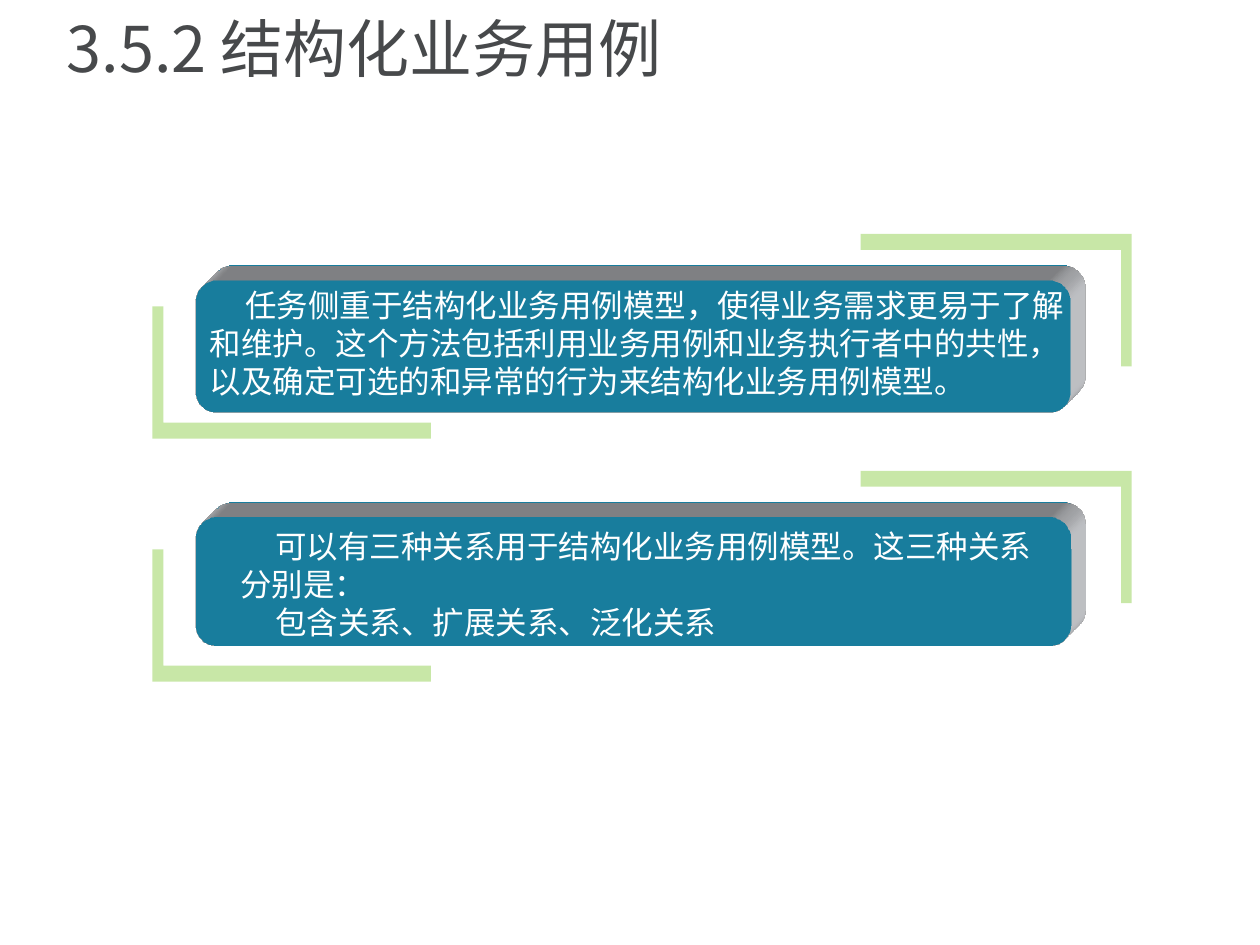
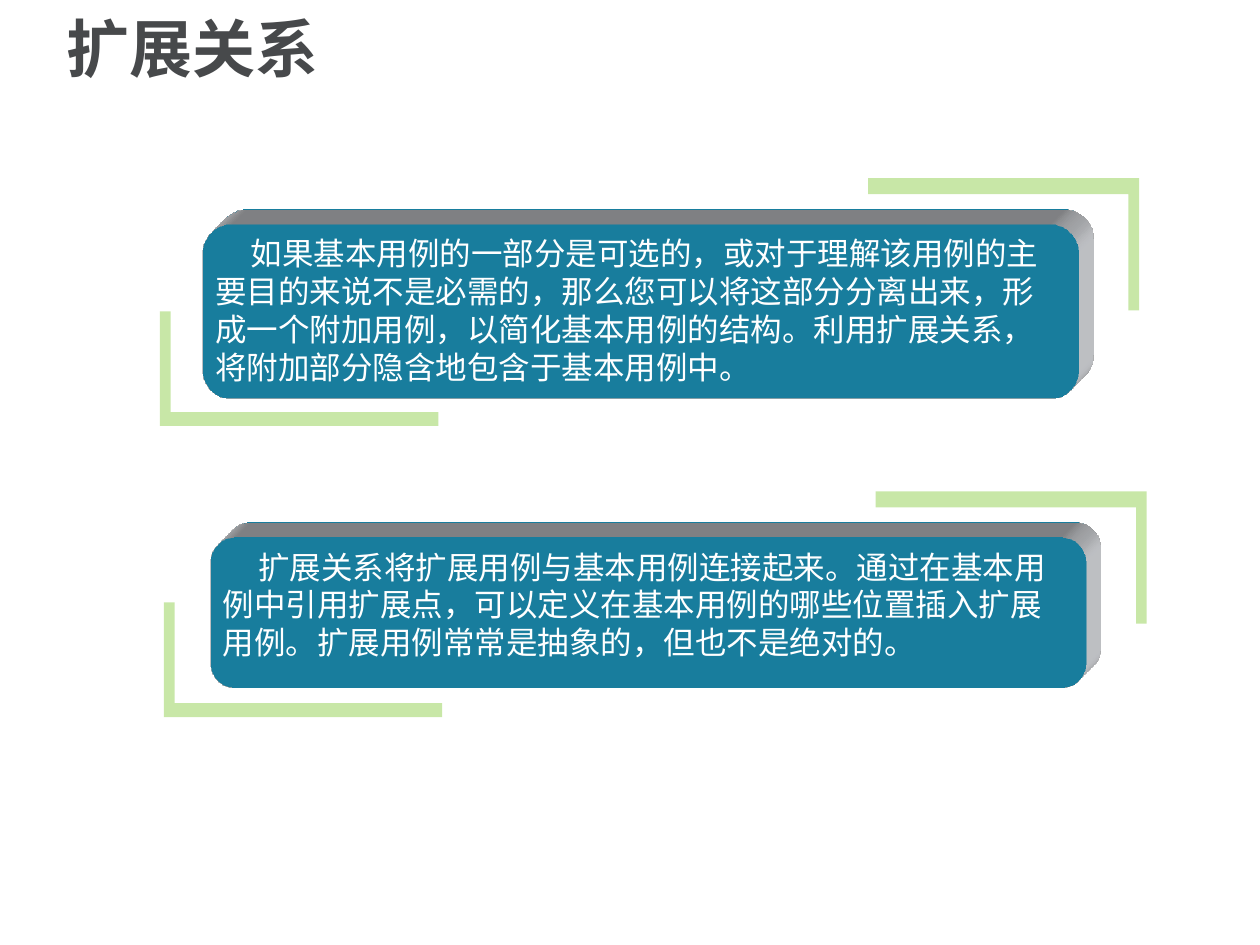
from dataclasses import dataclass

from lxml.etree import SubElement
from pptx import Presentation
from pptx.dml.color import RGBColor as Rgb
from pptx.enum.shapes import MSO_SHAPE as Kind
from pptx.enum.text import MSO_ANCHOR as Anchor
from pptx.oxml.ns import qn
from pptx.slide import Slide
from pptx.text.text import _Paragraph as Para
from pptx.util import Pt


@dataclass(frozen=True)
class Theme:
    ink: Rgb = Rgb.from_string("47494B")
    face: Rgb = Rgb.from_string("22B1DE")
    side: str = "D8DADE"
    green: Rgb = Rgb.from_string("92D050")
    white: Rgb = Rgb.from_string("FFFFFF")
    head: str = "Noto Sans CJK SC"
    body: str = "DejaVu Sans"
    big: float = 36
    small: float = 18
    indent: float = 20.2
    round: float = 0.167
    depth: float = 24


@dataclass(frozen=True)
class Panel:
    x: float
    y: float
    high: float
    foot: float
    arm: float
    lines: tuple[str, ...]
    left: float = 24.5
    dx: float = 0
    dy: float = 2.2
    wide: float = 499


@dataclass(frozen=True)
class Page:
    title: str
    bold: bool
    panels: tuple[Panel, ...]


THEME = Theme()
FACE_W = 500.4
PAGES = (
    Page("3.5.2 结构化业务用例", False, (
        Panel(111.6, 160.1, 75.6, 250.6, 75.6, (
            "任务侧重于结构化业务用例模型，使得业务需求更易于了解和维护。"
            "这个方法包括利用业务用例和业务执行者中的共性，"
            "以及确定可选的和异常的行为来结构化业务用例模型。",
        ), dx=1.2, dy=0, wide=503),
        Panel(111.6, 295.4, 73.4, 389.5, 75.6, (
            "可以有三种关系用于结构化业务用例模型。这三种关系分别是：",
            "包含关系、扩展关系、泛化关系",
        ), dx=18.5, wide=481),
    )),
    Page("扩展关系", True, (
        Panel(115.9, 128.2, 99.4, 243.4, 65.5, (
            "如果基本用例的一部分是可选的，或对于理解该用例的主要目的来说不是必需的，"
            "那么您可以将这部分分离出来，形成一个附加用例，以简化基本用例的结构。"
            "利用扩展关系，将附加部分隐含地包含于基本用例中。",
        )),
        Panel(120.2, 307.2, 85.7, 409.7, 65.5, (
            "扩展关系将扩展用例与基本用例连接起来。"
            "通过在基本用例中引用扩展点，可以定义在基本用例的哪些位置插入扩展用例。"
            "扩展用例常常是抽象的，但也不是绝对的。",
        ), left=26.6),
    )),
)


def style(para: Para, face: str, size: float, color: Rgb, bold: bool = False) -> None:
    """Set one font for Latin and East Asian text."""
    font = para.font
    font.name, font.size, font.bold = face, Pt(size), bold
    font.color.rgb = color
    for run in para.runs:
        run.font.name = face
        SubElement(run.font._element, qn("a:ea"), typeface=face)


def bracket(slide: Slide, x: float, y: float, wide: float, high: float) -> None:
    """Draw a translucent corner whose arms run by signed lengths."""
    thin, thick = wide * 0.039, high * 0.12
    spots = [(Pt(a), Pt(b)) for a, b in (
        (x, y), (x + wide, y), (x + wide, y + thick),
        (x + thin, y + thick), (x + thin, y + high), (x, y + high),
    )]
    pen = slide.shapes.build_freeform(*spots[0], scale=1.0)
    pen.add_line_segments(spots[1:], close=True)
    shape = pen.convert_to_shape()
    shape.shadow.inherit = False
    shape.line.fill.background()
    shape.fill.solid()
    shape.fill.fore_color.rgb = THEME.green
    tint = shape.fill._xPr.find(f".//{qn('a:srgbClr')}")
    SubElement(tint, qn("a:alpha"), val="50000")


def block(slide: Slide, panel: Panel) -> None:
    """Draw a rounded face extruded up and right."""
    front = slide.shapes.add_shape(
        Kind.ROUNDED_RECTANGLE, Pt(panel.x), Pt(panel.y), Pt(FACE_W), Pt(panel.high))
    front.adjustments[0] = THEME.round
    front.shadow.inherit = False
    front.fill.solid()
    front.fill.fore_color.rgb = THEME.face
    front.line.fill.background()
    props = front._element.spPr
    scene = SubElement(props, qn("a:scene3d"))
    SubElement(scene, qn("a:camera"), prst="legacyObliqueTopRight")
    SubElement(scene, qn("a:lightRig"), rig="legacyFlat3", dir="b")
    solid = SubElement(props, qn("a:sp3d"), extrusionH=str(Pt(THEME.depth)),
                       prstMaterial="legacyMatte")
    for edge in ("a:bevelT", "a:bevelB"):
        SubElement(solid, qn(edge), w="13500", h="13500", prst="angle")
    tone = SubElement(solid, qn("a:extrusionClr"))
    SubElement(tone, qn("a:srgbClr"), val=THEME.side)


def write(slide: Slide, panel: Panel) -> None:
    """Put the indented text on a panel."""
    box = slide.shapes.add_textbox(
        Pt(panel.x + panel.dx), Pt(panel.y + panel.dy), Pt(panel.wide), Pt(72.7))
    frame = box.text_frame
    frame.word_wrap = True
    frame.text = "\n".join(panel.lines)
    for para in frame.paragraphs:
        para._p.get_or_add_pPr().set("indent", str(Pt(THEME.indent)))
        style(para, THEME.body, THEME.small, THEME.white)


def head(slide: Slide, page: Page) -> None:
    """Write the slide title."""
    box = slide.shapes.add_textbox(Pt(31), Pt(4.7), Pt(651.6), Pt(50.4))
    frame = box.text_frame
    frame.word_wrap = True
    frame.vertical_anchor = Anchor.MIDDLE
    frame.text = page.title
    para = frame.paragraphs[0]
    para.line_spacing = 0.9
    style(para, THEME.head, THEME.big, THEME.ink, page.bold)


def main() -> None:
    """Build and save the slides."""
    deck = Presentation()
    deck.slide_width, deck.slide_height = Pt(720), Pt(540)
    for page in PAGES:
        slide = deck.slides.add_slide(deck.slide_layouts[6])
        head(slide, page)
        for panel in page.panels:
            bracket(slide, panel.x - panel.left, panel.foot, 159.1, -panel.arm)
            bracket(slide, panel.x + 535, panel.y - 26.4, -154.8, 75.6)
            block(slide, panel)
            write(slide, panel)
    deck.save("out.pptx")


if __name__ == "__main__":
    main()
